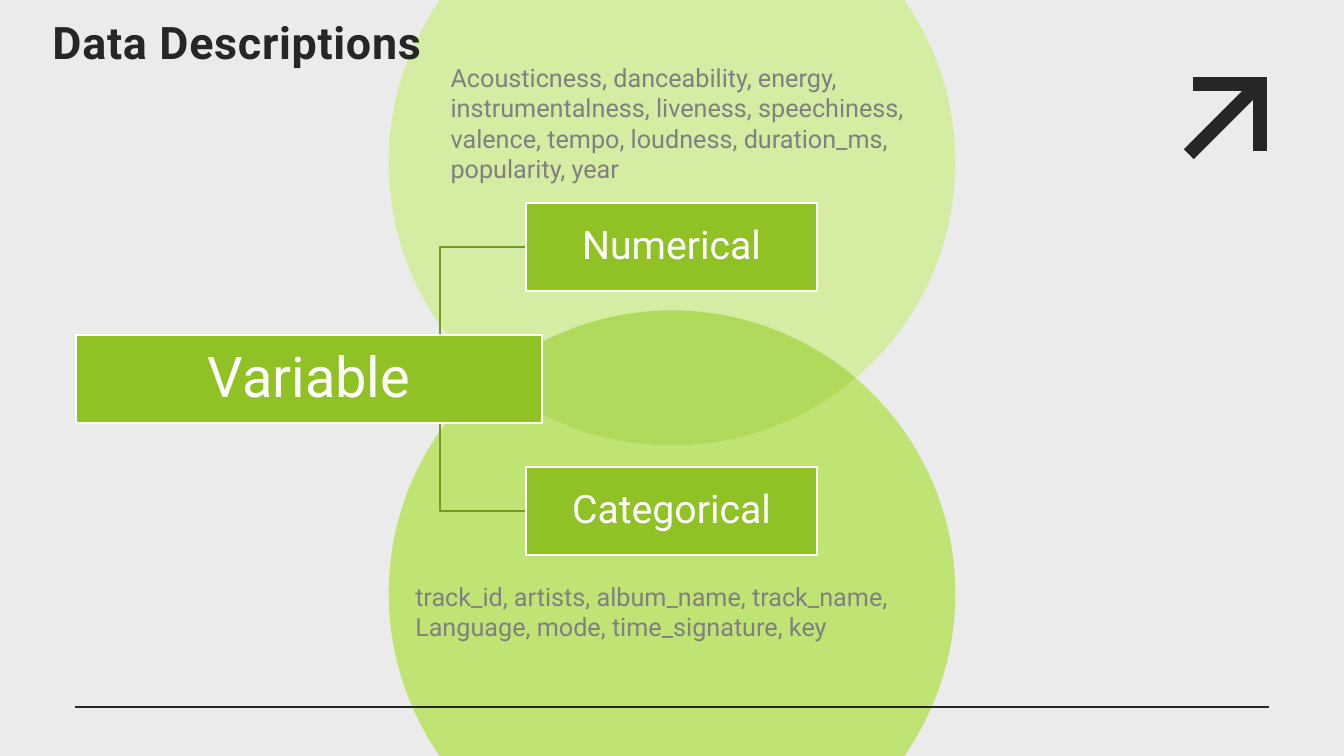
import math

import pptx
import pptx.dml.color
import pptx.enum.shapes
import pptx.enum.text
import pptx.oxml.ns
import pptx.util
from lxml import etree
from pptx.util import Inches

COLORS = {
    "bg": "EBEBEB",
    "pale": "D5EDA2",
    "light": "C0E474",
    "green": "90C226",
    "branch": "739B1E",
    "dark": "262626",
    "gray": "808080",
    "white": "FFFFFF",
}
FONT = "Roboto"
WIDTH, HEIGHT = 13.33, 7.5
CONNECTOR = pptx.enum.shapes.MSO_CONNECTOR
ANCHOR = pptx.enum.text.MSO_ANCHOR
ALIGN = pptx.enum.text.PP_ALIGN
qn = pptx.oxml.ns.qn


def rgb(name):
    """Return the named colour."""
    return pptx.dml.color.RGBColor.from_string(COLORS[name])


def add_run(p, text, size, color, bold=False):
    """Add a formatted run to a paragraph."""
    r = p.add_run()
    r.text = text
    r.font.name = FONT
    r.font.size = pptx.util.Pt(size)
    r.font.bold = bold
    r.font.color.rgb = rgb(color)
    return r


def set_insets(tf, inset):
    """Give a text frame equal insets."""
    tf.margin_left = tf.margin_right = Inches(inset)
    tf.margin_top = tf.margin_bottom = Inches(inset)


def add_line(s, start, end, color, width, kind=CONNECTOR.STRAIGHT, cap="sq"):
    """Draw a connector without a shadow."""
    c = s.shapes.add_connector(kind, *[Inches(v) for v in (*start, *end)])
    c.line.color.rgb = rgb(color)
    c.line.width = pptx.util.Pt(width)
    c._element.spPr.find(qn("a:ln")).set("cap", cap)
    etree.SubElement(c._element.spPr, qn("a:effectLst"))


def arc(cx, cy, radius, start, end):
    """Return a start point and Bezier triples, split at the quarter turns."""
    quarters = [a for a in range(-90, 451, 90) if start < a < end]
    turns = [math.radians(a) for a in (start, *quarters, end)]

    def point(angle, pull=0):
        x = math.cos(angle) - pull * math.sin(angle)
        y = math.sin(angle) + pull * math.cos(angle)
        return Inches(cx + radius * x), Inches(cy + radius * y)

    points = [point(turns[0])]
    for a, b in zip(turns, turns[1:]):
        pull = 4 / 3 * math.tan((b - a) / 4)
        points += [point(a, pull), point(b, -pull), point(b)]
    return points


def add_outline(s, points, color, alpha=None):
    """Fill a closed curved outline, optionally with an alpha percentage."""
    builder = s.shapes.build_freeform(*points[0], scale=1.0)
    builder.add_line_segments(points[1:], close=True)
    sp = builder.convert_to_shape()
    segments = list(sp._element.iter(qn("a:lnTo")))
    for i in range(0, len(segments), 3):
        curve = etree.Element(qn("a:cubicBezTo"))
        segments[i].addprevious(curve)
        for segment in segments[i:i + 3]:
            curve.append(segment[0])
            segment.getparent().remove(segment)
    sp.shadow.inherit = False
    sp.line.fill.background()
    sp.fill.solid()
    sp.fill.fore_color.rgb = rgb(color)
    if alpha:
        clr = sp._element.spPr.find(".//" + qn("a:srgbClr"))
        etree.SubElement(clr, qn("a:alpha"), val=str(alpha * 1000))


def add_circles(s, cx, top_y, radius):
    """Draw two overlapping circles cut by the slide's top and bottom edges."""
    low_y = HEIGHT - top_y
    cut = math.degrees(math.asin(top_y / radius))
    meet = math.degrees(math.asin((low_y - top_y) / 2 / radius))
    add_outline(s, arc(cx, top_y, radius, -cut, 180 + cut), "pale")
    add_outline(s, arc(cx, low_y, radius, 180 - cut, 360 + cut), "light")
    lens = (arc(cx, top_y, radius, meet, 180 - meet)
            + arc(cx, low_y, radius, 180 + meet, 360 - meet)[1:])
    add_outline(s, lens, "green", 30)


def add_corner_arrow(s, x, y, w, h):
    """Draw the heavy arrow that points to the upper right of its box."""
    right = x + w
    add_line(s, (x + 0.06, y), (right, y), "dark", 10)
    add_line(s, (right, y), (right, y + 0.6), "dark", 10)
    add_line(s, (x, y + h), (right - 0.07, y + 0.06), "dark", 10)


def add_title(s, x, y, w, h, text):
    """Place and format the title placeholder in front of the circles."""
    sp = s.shapes.title
    s.shapes._spTree.append(sp._element)
    sp.left, sp.top, sp.width, sp.height = [Inches(v) for v in (x, y, w, h)]
    tf = sp.text_frame
    set_insets(tf, 0)
    tf.vertical_anchor = ANCHOR.TOP
    p = tf.paragraphs[0]
    p.alignment = ALIGN.LEFT
    r = add_run(p, text, 32, "dark", True)
    r.font._element.set("spc", "50")


def add_node(s, x, y, w, h, text, size, inset):
    """Draw one labelled box of the tree."""
    sp = s.shapes.add_shape(pptx.enum.shapes.MSO_SHAPE.RECTANGLE,
                            *[Inches(v) for v in (x, y, w, h)])
    sp.shadow.inherit = False
    sp.fill.solid()
    sp.fill.fore_color.rgb = rgb("green")
    sp.line.color.rgb = rgb("white")
    sp.line.width = pptx.util.Pt(1.5)
    tf = sp.text_frame
    tf.word_wrap = True
    tf.vertical_anchor = ANCHOR.MIDDLE
    set_insets(tf, inset)
    p = tf.paragraphs[0]
    p.alignment = ALIGN.CENTER
    p.line_spacing = 0.9
    add_run(p, text, size, "white")


def add_tree(s, x, y, w, h):
    """Draw the root box with its two branches inside the given box."""
    node_h, root_w, leaf_w = 0.88, 4.63, 2.88
    leaf_x = x + w - leaf_w
    root_y = y + (h - node_h) / 2
    leaves = [("Categorical", y + h - node_h), ("Numerical", y)]
    for _, leaf_y in leaves:
        add_line(s, (x + 2.75, y + h / 2), (leaf_x, leaf_y + node_h / 2),
                 "branch", 1.5, CONNECTOR.ELBOW, "flat")
    add_node(s, x, root_y, root_w, node_h, "Variable", 40, 0.03)
    for text, leaf_y in reversed(leaves):
        add_node(s, leaf_x, leaf_y, leaf_w, node_h, text, 28, 0.02)


def add_note(s, x, y, w, h, lines):
    """Place a gray list of variable names."""
    tf = s.shapes.add_textbox(*[Inches(v) for v in (x, y, w, h)]).text_frame
    tf.word_wrap = True
    tf.auto_size = pptx.enum.text.MSO_AUTO_SIZE.SHAPE_TO_FIT_TEXT
    for i, line in enumerate(lines):
        p = tf.add_paragraph() if i else tf.paragraphs[0]
        add_run(p, line, 18, "gray")


def main():
    """Build and save the slide."""
    prs = pptx.Presentation()
    prs.slide_width, prs.slide_height = Inches(WIDTH), Inches(HEIGHT)
    s = prs.slides.add_slide(prs.slide_layouts[5])
    s.background.fill.solid()
    s.background.fill.fore_color.rgb = rgb("bg")
    add_circles(s, WIDTH / 2, 1.61, 2.81)
    add_corner_arrow(s, 11.84, 0.83, 0.66, 0.65)
    add_line(s, (0.75, 7.01), (12.58, 7.01), "dark", 1.5)
    add_title(s, 0.52, 0.15, 11, 0.62, "Data Descriptions")
    add_tree(s, 0.75, 2.01, 7.35, 3.5)
    add_note(s, 4.02, 5.72, 5.22, 0.71, [
        "track_id, artists, album_name, track_name,",
        "Language, mode, time_signature, key",
    ])
    add_note(s, 4.37, 0.57, 5.19, 1.31, [
        "Acousticness, danceability, energy, instrumentalness, liveness, "
        "speechiness, valence, tempo, loudness, duration_ms, popularity, year",
    ])
    prs.save("out.pptx")


if __name__ == "__main__":
    main()
